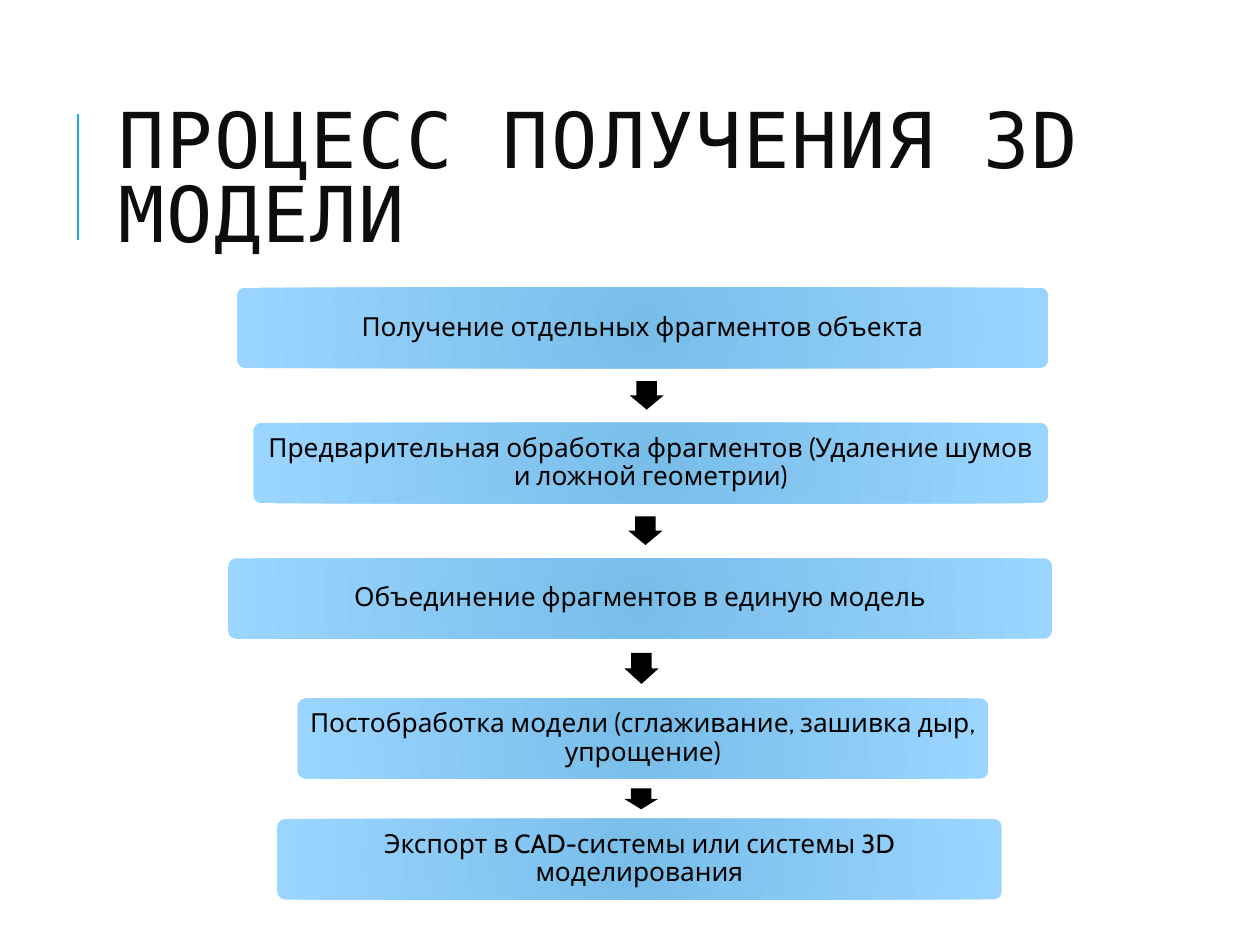
from dataclasses import dataclass

from lxml import etree
from pptx import Presentation
from pptx.dml.color import RGBColor
from pptx.enum import shapes, text
from pptx.oxml.ns import qn
from pptx.util import Pt


@dataclass(frozen=True)
class Theme:
    title: RGBColor = RGBColor(0x0D, 0x0D, 0x0D)
    accent: RGBColor = RGBColor(0x1C, 0xAD, 0xE4)
    ink: RGBColor = RGBColor(0, 0, 0)
    box_center: RGBColor = RGBColor(0x78, 0xBE, 0xE9)
    box_edge: RGBColor = RGBColor(0x9A, 0xD5, 0xFF)
    title_font: str = "DejaVu Sans Mono"
    body_font: str = "Cabin"
    title_size: int = 44
    body_size: int = 15


THEME = Theme()
STEP_HEIGHT = 46
ARROW_WIDTH = 19.5
ARROW_SHARE = 0.52  # part of the gap between two steps

# text, left, top, width
STEPS = [
    ("Получение отдельных фрагментов объекта", 135.4, 164.3, 463.6),
    ("Предварительная обработка фрагментов (Удаление шумов и ложной геометрии)",
     144.8, 241.6, 454.2),
    ("Объединение фрагментов в единую модель", 130.4, 319, 470.8),
    ("Постобработка модели (сглаживание, зашивка дыр, упрощение)",
     170, 399, 394.8),
    ("Экспорт в CAD-системы или системы 3D моделирования", 158.4, 468, 414),
]


def add_title(slide, title, left, top, width, height):
    """Place the title and the accent rule to its left."""
    rule_x = left - 16
    rule = slide.shapes.add_connector(
        shapes.MSO_CONNECTOR.STRAIGHT,
        Pt(rule_x), Pt(top + 19), Pt(rule_x), Pt(top + 91))
    rule.line.color.rgb = THEME.accent
    rule.line.width = Pt(1.5)
    etree.SubElement(rule._element.spPr, qn("a:effectLst"))

    sp = slide.shapes.title
    sp.left, sp.top, sp.width, sp.height = Pt(left), Pt(top), Pt(width), Pt(height)
    tf = sp.text_frame
    tf.text = title
    tf.word_wrap = True
    tf.auto_size = text.MSO_AUTO_SIZE.NONE
    tf.vertical_anchor = text.MSO_ANCHOR.MIDDLE
    p = tf.paragraphs[0]
    p.alignment = text.PP_ALIGN.LEFT
    p.line_spacing = 0.8
    p.font.name = THEME.title_font
    p.font.size = Pt(THEME.title_size)
    p.font.color.rgb = THEME.title
    p.runs[0]._r.get_or_add_rPr().set("spc", "100")


def fill_radial(sp, center, edge):
    sp.fill.gradient()
    for stop, color in zip(sp.fill.gradient_stops, (center, edge)):
        stop.color.rgb = color
    grad = sp._element.spPr.find(qn("a:gradFill"))
    grad.remove(grad.find(qn("a:lin")))
    circle = etree.SubElement(grad, qn("a:path"), path="circle")
    etree.SubElement(circle, qn("a:fillToRect"),
                     {side: "100000" for side in "ltrb"})


def add_step(slide, label, left, top, width, height):
    sp = slide.shapes.add_shape(shapes.MSO_SHAPE.ROUNDED_RECTANGLE,
                                Pt(left), Pt(top), Pt(width), Pt(height))
    sp.adjustments[0] = 0.1
    sp.shadow.inherit = False
    sp.line.fill.background()
    fill_radial(sp, THEME.box_center, THEME.box_edge)
    tf = sp.text_frame
    tf.text = label
    tf.word_wrap = True
    tf.vertical_anchor = text.MSO_ANCHOR.MIDDLE
    tf.margin_left = tf.margin_right = tf.margin_top = tf.margin_bottom = Pt(5.5)
    p = tf.paragraphs[0]
    p.alignment = text.PP_ALIGN.CENTER
    p.line_spacing = 0.9
    p.font.name = THEME.body_font
    p.font.size = Pt(THEME.body_size)
    p.font.color.rgb = THEME.ink


def add_arrow(slide, center_x, gap_top, gap):
    """Center a down arrow in the gap between two steps."""
    height = gap * ARROW_SHARE
    sp = slide.shapes.add_shape(
        shapes.MSO_SHAPE.DOWN_ARROW,
        Pt(center_x - ARROW_WIDTH / 2), Pt(gap_top + (gap - height) / 2),
        Pt(ARROW_WIDTH), Pt(height))
    sp.adjustments[0] = 0.6
    sp.adjustments[1] = 0.5
    sp.shadow.inherit = False
    sp.fill.solid()
    sp.fill.fore_color.rgb = THEME.ink
    sp.line.fill.background()


def add_process(slide, steps):
    for label, left, top, width in steps:
        add_step(slide, label, left, top, width, STEP_HEIGHT)
    for (_, x1, y1, w1), (_, x2, y2, w2) in zip(steps, steps[1:]):
        center_x = (x1 + w1 / 2 + x2 + w2 / 2) / 2
        bottom = y1 + STEP_HEIGHT
        add_arrow(slide, center_x, bottom, y2 - bottom)


def main():
    prs = Presentation()
    prs.slide_width, prs.slide_height = Pt(720), Pt(540)
    slide = prs.slides.add_slide(prs.slide_layouts[5])
    add_title(slide, "ПРОЦЕСС ПОЛУЧЕНИЯ 3D МОДЕЛИ", 60.5, 46, 574, 118)
    add_process(slide, STEPS)
    prs.save("out.pptx")


if __name__ == "__main__":
    main()
